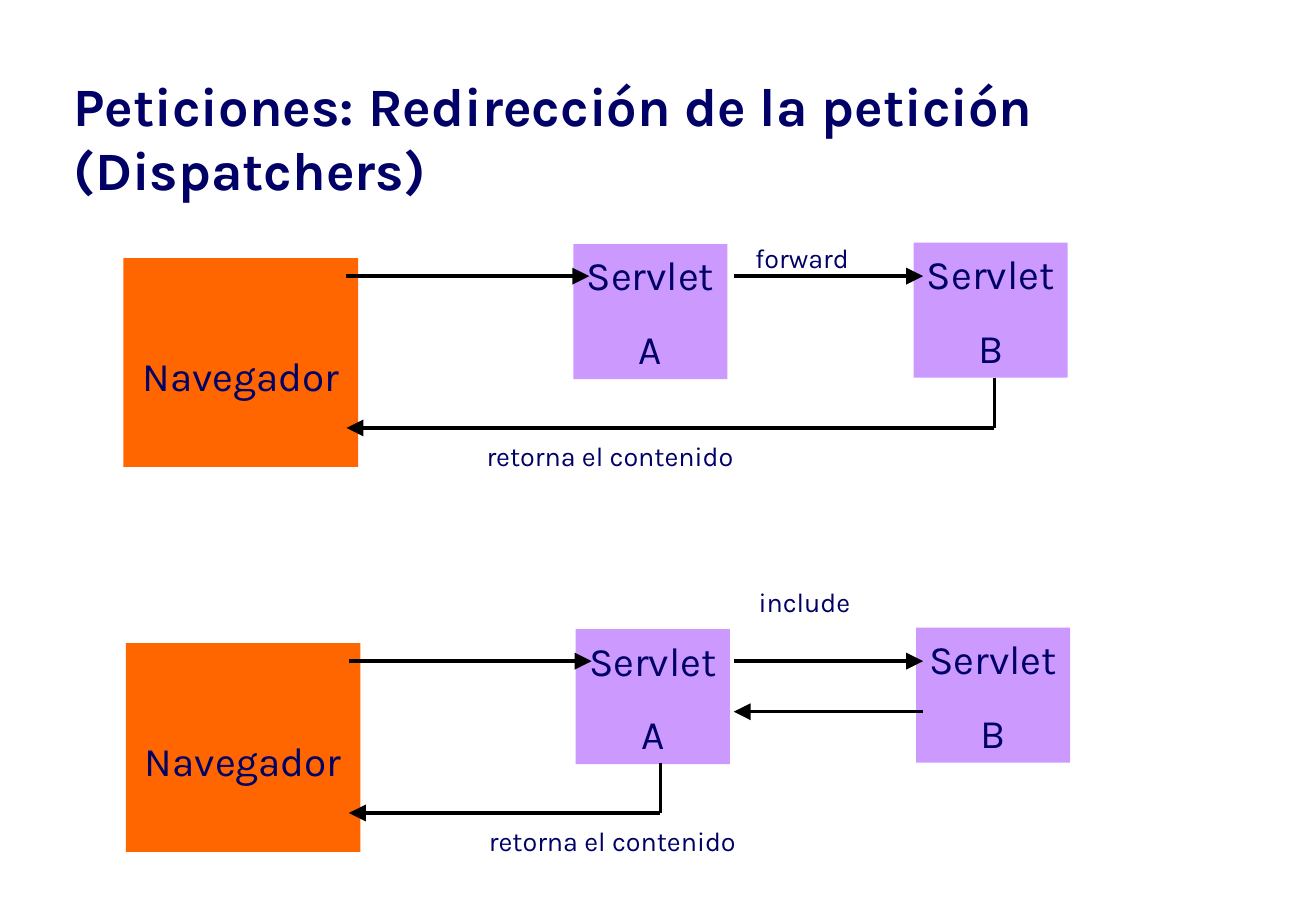
from dataclasses import dataclass

from lxml.etree import SubElement
from pptx import Presentation
from pptx.dml.color import RGBColor
from pptx.enum.shapes import MSO_CONNECTOR as Connector, MSO_SHAPE as ShapeKind
from pptx.enum.text import MSO_ANCHOR as Anchor, MSO_AUTO_SIZE as AutoSize, PP_ALIGN as Align
from pptx.oxml.ns import qn
from pptx.util import Pt


@dataclass(frozen=True)
class Theme:
    font: str = "Karla"
    ink: RGBColor = RGBColor(0x00, 0x00, 0x66)
    browser: RGBColor = RGBColor(0xFF, 0x66, 0x00)
    servlet: RGBColor = RGBColor(0xCC, 0x99, 0xFF)
    arrow: RGBColor = RGBColor(0x00, 0x00, 0x00)
    title_size: int = 32
    box_size: int = 24
    label_size: int = 16
    line_width: int = 2


THEME = Theme()
ROW_SHIFT = (1.4, 228.2)
HOP_LEFT, HOP_RIGHT = 435.2, 547.5


def write(frame, lines, size, align, bold=False, gap=0):
    for index, line in enumerate(lines):
        paragraph = frame.add_paragraph() if index else frame.paragraphs[0]
        paragraph.alignment = align
        paragraph.space_before = Pt(gap if index else 0)
        run = paragraph.add_run()
        run.text = line
        run.font.name = THEME.font
        run.font.size = Pt(size)
        run.font.bold = bold
        run.font.color.rgb = THEME.ink


def set_title(slide, text):
    title = slide.shapes.title
    title.left, title.top, title.width, title.height = Pt(40), Pt(54.8), Pt(700.6), Pt(68.4)
    frame = title.text_frame
    frame.word_wrap = True
    frame.auto_size = AutoSize.NONE
    frame.vertical_anchor = Anchor.BOTTOM
    frame.margin_left = frame.margin_right = frame.margin_top = frame.margin_bottom = Pt(3.6)
    write(frame, [text], THEME.title_size, Align.LEFT, bold=True)


def add_box(slide, left, top, width, height, fill, lines, top_margin=3.6):
    shape = slide.shapes.add_shape(
        ShapeKind.RECTANGLE, Pt(left), Pt(top), Pt(width), Pt(height))
    shape.shadow.inherit = False
    shape.fill.solid()
    shape.fill.fore_color.rgb = fill
    shape.line.fill.background()
    frame = shape.text_frame
    frame.word_wrap = False
    frame.vertical_anchor = Anchor.MIDDLE
    frame.margin_top = Pt(top_margin)
    write(frame, lines, THEME.box_size, Align.CENTER, gap=15)


def add_servlet(slide, left, top, name):
    add_box(slide, left, top, 91.4, 80, THEME.servlet, ["Servlet", name])


def add_label(slide, left, top, text):
    box = slide.shapes.add_textbox(Pt(left), Pt(top), Pt(192.2), Pt(26.6))
    box.text_frame.word_wrap = True
    write(box.text_frame, [text], THEME.label_size, Align.CENTER)


def add_line(slide, start, end, arrow=True):
    points = [Pt(value) for value in (*start, *end)]
    connector = slide.shapes.add_connector(Connector.STRAIGHT, *points)
    connector.line.color.rgb = THEME.arrow
    connector.line.width = Pt(THEME.line_width)
    if arrow:
        SubElement(connector.line._get_or_add_ln(), qn("a:tailEnd"),
                   type="triangle", w="lg", len="lg")
    SubElement(connector._element.spPr, qn("a:effectLst"))


def add_flow(slide, row, hop_label, hop_label_top, return_x, reply=False):
    shift_x, shift_y = (row * step for step in ROW_SHIFT)
    request_y, return_y = shift_y + 163.7, shift_y + 253.7
    browser_edge = shift_x + 205.5
    return_x += shift_x

    add_box(slide, shift_x + 73.2, shift_y + 153, 139.2, 123.8,
            THEME.browser, ["Navegador"], top_margin=19)
    add_servlet(slide, shift_x + 340.1, shift_y + 144.8, "A")
    add_servlet(slide, shift_x + 541.9, shift_y + 143.9, "B")

    add_line(slide, (browser_edge, request_y), (shift_x + 349.5, request_y))
    add_line(slide, (HOP_LEFT, request_y), (HOP_RIGHT, request_y))
    if reply:
        add_line(slide, (HOP_RIGHT, request_y + 30), (HOP_LEFT, request_y + 30))
    add_line(slide, (return_x, shift_y + 223.8), (return_x, return_y), arrow=False)
    add_line(slide, (return_x, return_y), (browser_edge, return_y))

    add_label(slide, shift_x + 379.6, hop_label_top, hop_label)
    add_label(slide, shift_x + 265.7, shift_y + 257.2, "retorna el contenido")


def main():
    presentation = Presentation()
    presentation.slide_width, presentation.slide_height = Pt(780.48), Pt(540)
    slide = presentation.slides.add_slide(presentation.slide_layouts[5])
    set_title(slide, "Peticiones: Redirección de la petición (Dispatchers)")
    add_flow(slide, 0, "forward", 139.7, return_x=589.8)
    add_flow(slide, 1, "include", 343.8, return_x=390.3, reply=True)
    presentation.save("out.pptx")


if __name__ == "__main__":
    main()
